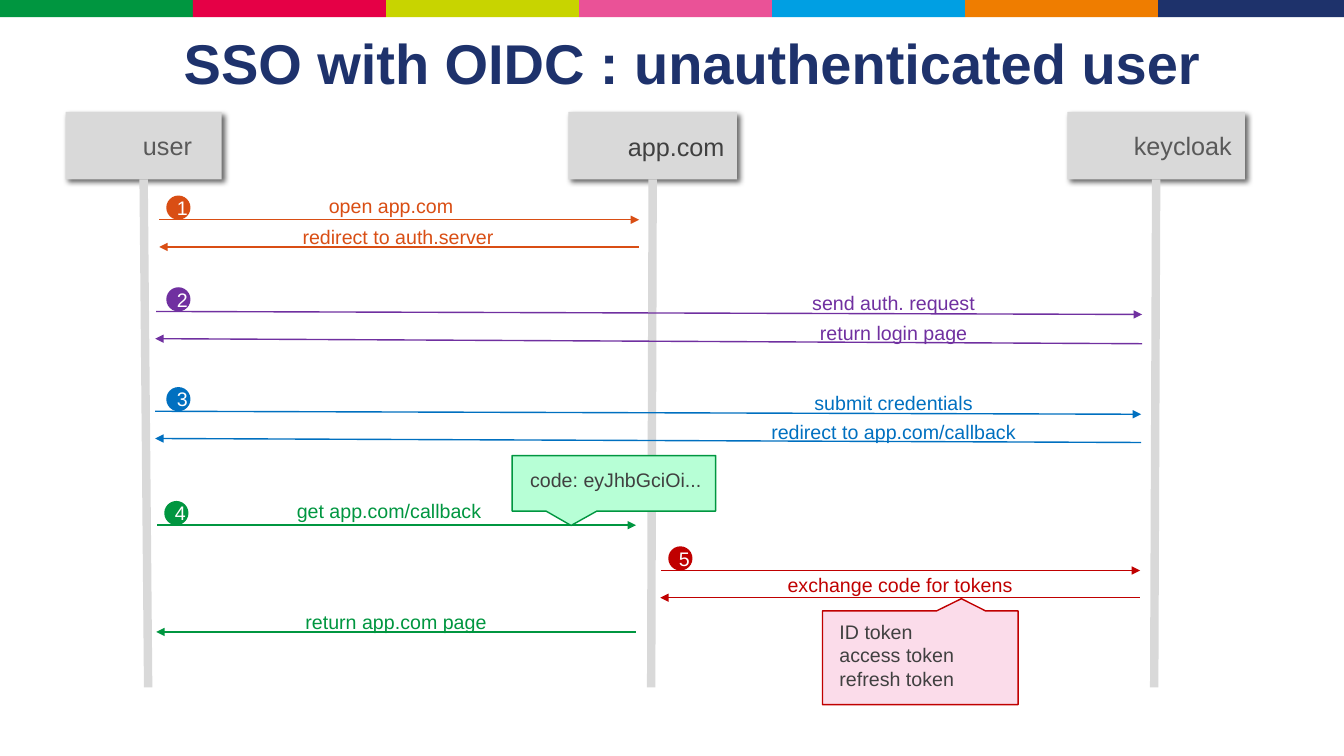
from dataclasses import dataclass
from typing import NamedTuple

from lxml.etree import SubElement
from pptx import Presentation
from pptx.dml.color import RGBColor
from pptx.enum.shapes import MSO_CONNECTOR as Link, MSO_SHAPE as Kind
from pptx.enum.text import MSO_ANCHOR as Anchor, MSO_AUTO_SIZE as Fit, PP_ALIGN as Align
from pptx.oxml.ns import qn
from pptx.shapes.autoshape import Shape
from pptx.shapes.connector import Connector
from pptx.slide import Slide
from pptx.util import Emu, Inches, Pt

FONT = "Arial"
CELL = Inches(0.1)
COLUMNS, ROWS = 133.33, 75
NAVY, GREY, DARK, MID = "1E326C", "D9D9D9", "404040", "595959"
ORANGE, PURPLE, BLUE, GREEN, RED = "D94E14", "7030A0", "0070C0", "009640", "C00000"
STRIPES = ["009640", "E50046", "C8D400", "EA5297", "009FE3", "EF7D00", "1E326B"]
STRIPE_WIDTH, STRIPE_HEIGHT = 19.15, 1.7
HEADER_TOP, HEADER_HEIGHT, LIFELINE_END = 11.1, 6.7, 68.2
BADGE_SIZE, LABEL_HEIGHT = 2.4, 3.4


class Area(NamedTuple):
    column: float
    row: float
    width: float
    height: float


class Spot(NamedTuple):
    column: float
    row: float


class Lane(NamedTuple):
    left: float
    width: float


@dataclass
class Participant:
    name: str
    left: float
    width: float
    foot: float
    name_at: Spot
    colour: str = MID


@dataclass
class Message:
    colour: str
    start: Spot
    end: Spot
    label: str = ""
    lane: Lane = Lane(0, 0)
    label_row: float = 0
    number: str = ""
    badge_column: float = 16.5


@dataclass
class Callout:
    area: Area
    fill: str
    line: str
    text_area: Area
    lines: list[str]
    tip: tuple[float, float]
    turn: int = 0


RIGHT_LANE = Lane(65.9, 45.5)

PARTICIPANTS = [
    Participant("user", 6.5, 15.5, 14.7, Spot(13.2, 12.4)),
    Participant("app.com", 56.4, 16.7, 64.6, Spot(61.3, 12.5), DARK),
    Participant("keycloak", 105.9, 17.6, 114.5, Spot(111.5, 12.4)),
]

MESSAGES = [
    Message(ORANGE, Spot(15.8, 21.8), Spot(63.4, 21.8), "open app.com", Lane(18.6, 40.4), 18.7, "1"),
    Message(ORANGE, Spot(15.8, 24.5), Spot(63.4, 24.5), "redirect to auth.server", Lane(19.3, 40.4), 21.8),
    Message(PURPLE, Spot(15.5, 30.9), Spot(113.3, 31.2), "send auth. request", RIGHT_LANE, 28.4, "2"),
    Message(PURPLE, Spot(15.4, 33.6), Spot(113.3, 34.1), "return login page", RIGHT_LANE, 31.3),
    Message(BLUE, Spot(15.4, 40.8), Spot(113.2, 41.1), "submit credentials", RIGHT_LANE, 38.3, "3"),
    Message(BLUE, Spot(15.4, 43.5), Spot(113.2, 43.9), "redirect to app.com/callback", RIGHT_LANE, 41.2),
    Message(GREEN, Spot(15.6, 52.1), Spot(63.1, 52.1), "get app.com/callback", Lane(18.4, 40.4), 49, "4", 16.3),
    Message(GREEN, Spot(15.5, 62.7), Spot(63.1, 62.7), "return app.com page", Lane(19.1, 40.4), 60),
    Message(RED, Spot(65.6, 56.6), Spot(113.1, 56.6), number="5", badge_column=66.3),
    Message(RED, Spot(65.5, 59.3), Spot(113.1, 59.3), "exchange code for tokens", Lane(69.1, 40.4), 56.3),
]

CALLOUTS = [
    Callout(Area(81.6, 60.6, 19.4, 9.3), "FBDCEA", RED, Area(82.3, 61, 13.4, 10.4),
            ["ID token", "access token", "refresh token"], (-0.21, 0.63), 180),
    Callout(Area(50.8, 45.2, 20.2, 5.5), "B7FFD6", GREEN, Area(51.6, 45.9, 19.1, 3.4),
            ["code: eyJhbGciOi..."], (-0.21, 0.76)),
]


def cells(count: float) -> Emu:
    return Emu(round(count * CELL))


def colour_of(code: str) -> RGBColor:
    return RGBColor.from_string(code)


def write(box: Shape, lines: list[str], size: float, colour: str,
          align: Align = Align.LEFT, bold: bool = False) -> None:
    frame = box.text_frame
    for index, line in enumerate(lines):
        para = frame.add_paragraph() if index else frame.paragraphs[0]
        para.alignment = align
        span = para.add_run()
        span.text = line
        span.font.name = FONT
        span.font.size = Pt(size)
        span.font.bold = bold
        span.font.color.rgb = colour_of(colour)


def add_text(page: Slide, area: Area, lines: list[str], size: float, colour: str,
             align: Align = Align.LEFT, wrap: bool = True) -> None:
    box = page.shapes.add_textbox(*map(cells, area))
    box.text_frame.word_wrap = wrap
    box.text_frame.auto_size = Fit.SHAPE_TO_FIT_TEXT
    write(box, lines, size, colour, align)


def add_block(page: Slide, kind: Kind, area: Area, fill: str, line: str = "") -> Shape:
    box = page.shapes.add_shape(kind, *map(cells, area))
    box.shadow.inherit = False
    box.fill.solid()
    box.fill.fore_color.rgb = colour_of(fill)
    if line:
        box.line.color.rgb = colour_of(line)
        box.line.width = Pt(1)
    else:
        box.line.fill.background()
    return box


def add_line(page: Slide, start: Spot, end: Spot, colour: str, width: float) -> Connector:
    line = page.shapes.add_connector(Link.STRAIGHT, *map(cells, (*start, *end)))
    line.line.color.rgb = colour_of(colour)
    line.line.width = Pt(width)
    SubElement(line._element.spPr, qn("a:effectLst"))
    return line


def cast_shadow(box: Shape) -> None:
    effects = box._element.spPr.find(qn("a:effectLst"))
    shadow = SubElement(effects, qn("a:outerShdw"), blurRad=str(Pt(4)), dist=str(Pt(3)),
                        dir=str(45 * 60000), rotWithShape="0")
    black = SubElement(shadow, qn("a:srgbClr"), val="000000")
    SubElement(black, qn("a:alpha"), val="60000")


def draw_stripes(page: Slide) -> None:
    for index, colour in enumerate(STRIPES):
        left = index * STRIPE_WIDTH
        width = min(STRIPE_WIDTH, COLUMNS - left)
        add_block(page, Kind.RECTANGLE, Area(left, 0, width, STRIPE_HEIGHT), colour)


def draw_title(page: Slide) -> None:
    box = page.shapes.add_textbox(*map(cells, Area(7, 1.6, 123.3, 9.1)))
    frame = box.text_frame
    frame.word_wrap = True
    frame.vertical_anchor = Anchor.MIDDLE
    frame.margin_left = frame.margin_right = frame.margin_top = frame.margin_bottom = 0
    write(box, ["SSO with OIDC : unauthenticated user"], 40, NAVY, Align.CENTER, True)


def draw_participant(page: Slide, who: Participant) -> None:
    header = add_block(page, Kind.RECTANGLE, Area(who.left, HEADER_TOP, who.width, HEADER_HEIGHT), GREY)
    cast_shadow(header)
    top = Spot(who.left + who.width / 2, HEADER_TOP + HEADER_HEIGHT)
    lifeline = add_line(page, top, Spot(who.foot, LIFELINE_END), GREY, 6)
    lifeline.begin_connect(header, 2)
    add_text(page, Area(*who.name_at, 12, 4), [who.name], 18, who.colour)


def draw_message(page: Slide, message: Message) -> None:
    arrow = add_line(page, message.start, message.end, message.colour, 1)
    tip = "a:tailEnd" if message.number else "a:headEnd"
    SubElement(arrow.line._get_or_add_ln(), qn(tip), type="triangle")
    if message.number:
        area = Area(message.badge_column, message.start.row - BADGE_SIZE, BADGE_SIZE, BADGE_SIZE)
        badge = add_block(page, Kind.OVAL, area, message.colour)
        badge.text_frame.vertical_anchor = Anchor.MIDDLE
        write(badge, [message.number], 14, "FFFFFF", Align.CENTER)
    if message.label:
        area = Area(message.lane.left, message.label_row, message.lane.width, LABEL_HEIGHT)
        add_text(page, area, [message.label], 14, message.colour, Align.CENTER)


def draw_callout(page: Slide, callout: Callout) -> None:
    bubble = add_block(page, Kind.RECTANGULAR_CALLOUT, callout.area, callout.fill, callout.line)
    bubble.rotation = callout.turn
    for index, value in enumerate(callout.tip):
        bubble.adjustments[index] = value
    add_text(page, callout.text_area, callout.lines, 14, DARK, wrap=False)


def main() -> None:
    deck = Presentation()
    deck.slide_width, deck.slide_height = cells(COLUMNS), cells(ROWS)
    page = deck.slides.add_slide(deck.slide_layouts[6])
    draw_stripes(page)
    draw_title(page)
    for who in PARTICIPANTS:
        draw_participant(page, who)
    for message in MESSAGES:
        draw_message(page, message)
    for callout in CALLOUTS:
        draw_callout(page, callout)
    deck.save("out.pptx")


if __name__ == "__main__":
    main()
